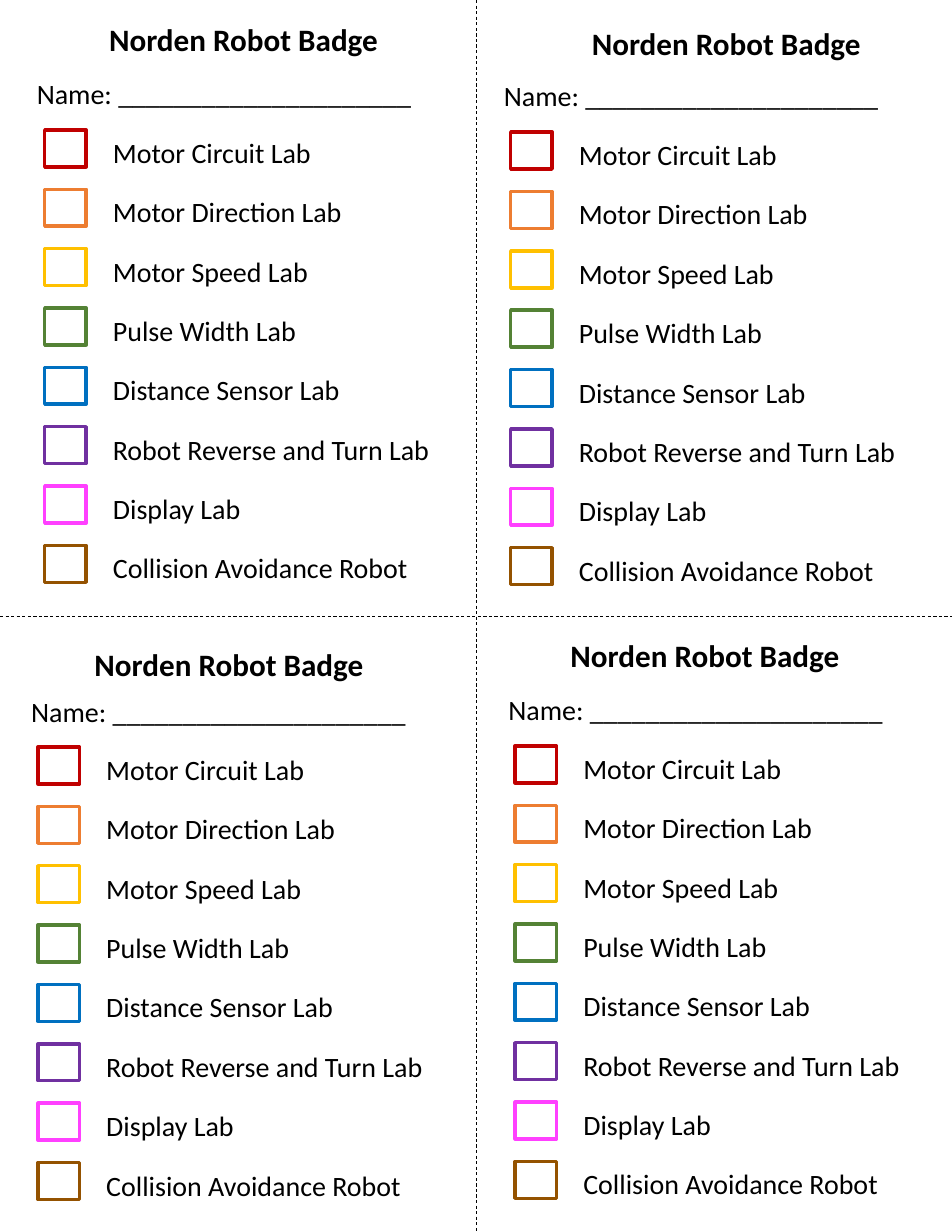
from pptx import Presentation
from pptx.dml.color import RGBColor
from pptx.enum.dml import MSO_LINE_DASH_STYLE as Dash
from pptx.enum.shapes import MSO_CONNECTOR as Connector, MSO_SHAPE as Shape
from pptx.enum.text import MSO_AUTO_SIZE as AutoSize, PP_ALIGN as Align
from pptx.oxml.ns import qn
from pptx.util import Inches, Pt
from lxml.etree import SubElement

COLOURS = {
    "black": "000000", "red": "C00000", "orange": "ED7D31", "yellow": "FFC000",
    "green": "548235", "blue": "0070C0", "purple": "7030A0", "pink": "FF40FF",
    "brown": "945200",
}
LABS = [
    ("Motor Circuit Lab", "red", 1.99),
    ("Motor Direction Lab", "orange", 2.27),
    ("Motor Speed Lab", "yellow", 1.96),
    ("Pulse Width Lab", "green", 1.86),
    ("Distance Sensor Lab", "blue", 2.25),
    ("Robot Reverse and Turn Lab", "purple", 3.06),
    ("Display Lab", "pink", 1.35),
    ("Collision Avoidance Robot", "brown", 2.92),
]
BADGES = [
    {"title": (0.61, 0.13), "name": (0.23, 0.63), "labs": (0.4, 1.16)},
    {"title": (4.92, 0.17), "name": (4.4, 0.65), "labs": (4.56, 1.18)},
    {"title": (0.48, 5.71), "name": (0.18, 6.15), "labs": (0.34, 6.67)},
    {"title": (4.73, 5.63), "name": (4.44, 6.13), "labs": (4.6, 6.66)},
]
ROW_STEP = 0.53
LABEL_OFFSET = 0.51
LABEL = {"size": Pt(18), "name": "Calibri", "bold": False}
TITLE = {"size": Pt(20), "name": "Calibri", "bold": True}


def add_text(parent, words, place, style, wrap=False, align=Align.LEFT):
    box = parent.shapes.add_textbox(*map(Inches, place))
    frame = box.text_frame
    frame.word_wrap = wrap
    frame.auto_size = AutoSize.SHAPE_TO_FIT_TEXT
    para = frame.paragraphs[0]
    para.alignment = align
    span = para.add_run()
    span.text = words
    for key, value in style.items():
        setattr(span.font, key, value)
    span.font.color.rgb = RGBColor.from_string(COLOURS["black"])


deck = Presentation()
deck.slide_width, deck.slide_height = Inches(8.5), Inches(11)
page = deck.slides.add_slide(deck.slide_layouts[6])

for ends in [(4.25, 0, 4.25, 11), (0, 5.5, 8.5, 5.5)]:
    cut = page.shapes.add_connector(Connector.STRAIGHT, *map(Inches, ends))
    cut.line.width = Pt(0.5)
    cut.line.dash_style = Dash.DASH
    cut.line.color.rgb = RGBColor.from_string(COLOURS["black"])
    SubElement(cut._element.spPr, qn("a:effectLst"))

for badge in BADGES:
    add_text(page, "Norden Robot Badge", (*badge["title"], 3.13, 0.44), TITLE, True, Align.CENTER)
    checklist = page.shapes.add_group_shape()
    left, top = badge["labs"]
    for row, (lab, colour, width) in enumerate(LABS):
        y = top + row * ROW_STEP
        checkbox = checklist.shapes.add_shape(
            Shape.RECTANGLE, Inches(left), Inches(y), Inches(0.37), Inches(0.33))
        checkbox.shadow.inherit = False
        checkbox.fill.background()
        checkbox.line.width = Pt(2.25)
        checkbox.line.color.rgb = RGBColor.from_string(COLOURS[colour])
        add_text(checklist, lab, (left + LABEL_OFFSET, y, width, 0.36), LABEL)
    add_text(checklist, "Name: _____________________", (*badge["name"], 3.59, 0.4), LABEL)

deck.save("out.pptx")
